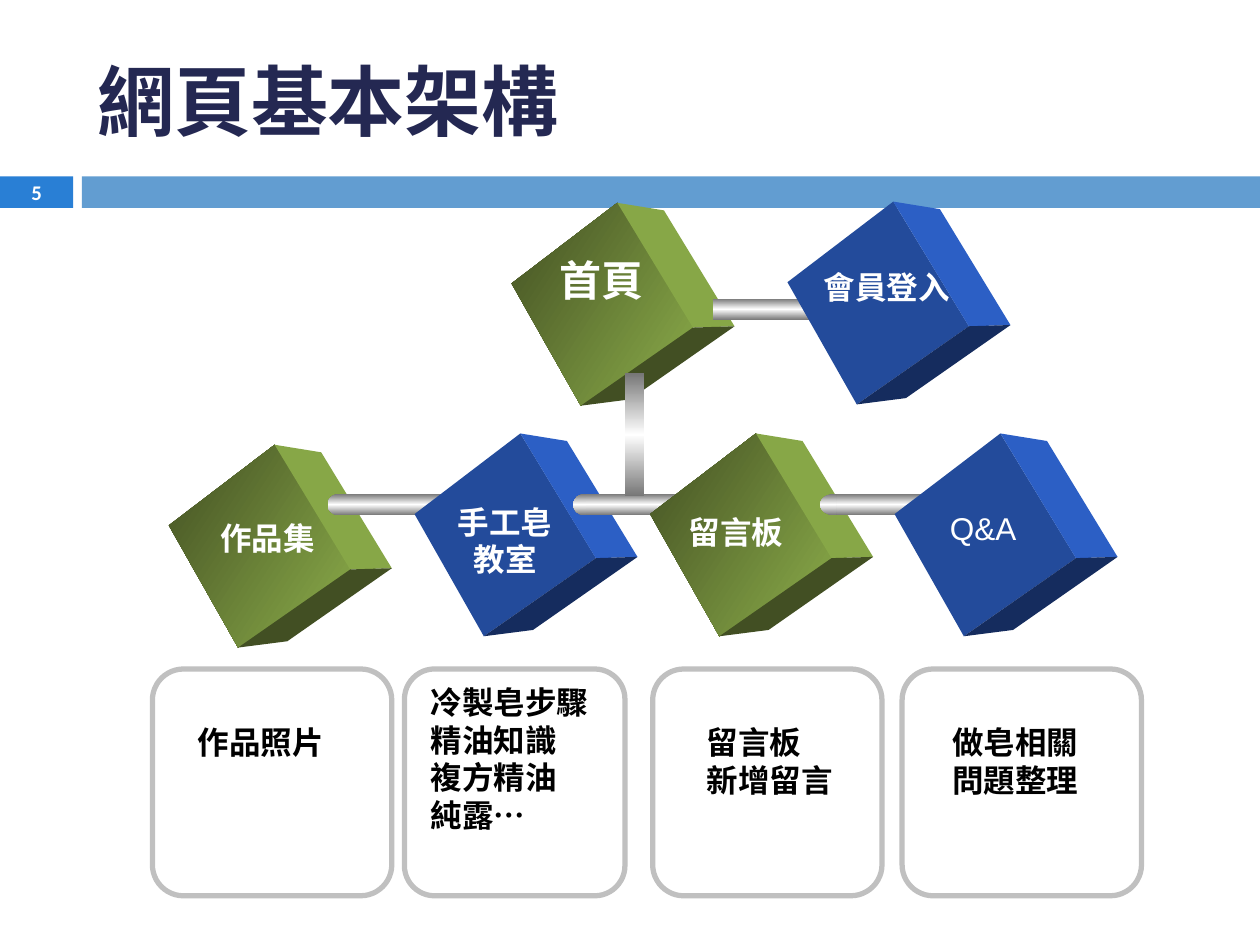
from lxml import etree
from pptx import Presentation
from pptx.dml.color import RGBColor
from pptx.enum.shapes import MSO_SHAPE as Shape
from pptx.enum.text import MSO_ANCHOR as Anchor, PP_ALIGN as Align
from pptx.oxml.ns import qn
from pptx.util import Inches, Pt

BLUE = ("234B9B", "2C5FC5", "152C5E")
GREEN = (("435023", "8CAD4A"), "87A747", "424F23")
STEEL = ("767676", "FFFFFF", "767676")
FRONT = [(-0.84, 0.64), (0, 0), (0.6, 0.99), (-0.29, 1.61)]
SIDE = [(0, 0), (0.37, 0.06), (0.93, 0.98), (0.6, 0.99)]
BASE = [(0.6, 0.99), (0.93, 0.98), (0.1, 1.56), (-0.29, 1.61)]
ROW_TOP, TUBE_TOP, BOX_TOP = 3.44, 3.92, 5.31


def color(value):
    """Turn a hex string into a colour."""
    return RGBColor.from_string(value)


def paint(shape, fill, angle=90):
    """Fill a shape with one colour, or with evenly spaced gradient stops."""
    shape.shadow.inherit = False
    shape.line.fill.background()
    if isinstance(fill, str):
        shape.fill.solid()
        shape.fill.fore_color.rgb = color(fill)
        return
    shape.fill.gradient()
    shape.fill.gradient_angle = 360 - angle
    stops = shape.fill._fill._gradFill.find(qn("a:gsLst"))
    for stop in list(stops):
        stops.remove(stop)
    for index, value in enumerate(fill):
        position = 100000 * index // (len(fill) - 1)
        stop = etree.SubElement(stops, qn("a:gs"), pos=str(position))
        etree.SubElement(stop, qn("a:srgbClr"), val=value)


def add_block(slide, kind, left, top, width, height, fill):
    """Add a filled preset shape without an outline."""
    shape = slide.shapes.add_shape(
        kind, Inches(left), Inches(top), Inches(width), Inches(height))
    paint(shape, fill)
    return shape


def add_cube(slide, left, top, colors):
    """Add a tilted cube whose upper corner is at left, top."""
    for corners, fill in zip((FRONT, SIDE, BASE), colors):
        points = [(Inches(left + x), Inches(top + y)) for x, y in corners]
        builder = slide.shapes.build_freeform(*points[0])
        builder.add_line_segments(points[1:], close=True)
        paint(builder.convert_to_shape(), fill, 33)


def add_tube(slide, left, cap, length):
    """Add a horizontal tube with a rounded left end."""
    add_block(slide, Shape.OVAL, left, TUBE_TOP, cap, 0.17, STEEL)
    add_block(slide, Shape.RECTANGLE, left + 0.56 * cap, TUBE_TOP, length, 0.17, STEEL)


def add_box(slide, left, width):
    """Add a rounded frame for the details of a page."""
    box = add_block(slide, Shape.ROUNDED_RECTANGLE, left, BOX_TOP, width, 1.8, "FFFFFF")
    box.adjustments[0] = 0.137
    box.fill.background()
    box.line.color.rgb = color("C0C0C0")
    box.line.width = Pt(3)


def format_text(frame, lines, size, value, font="Arial", bold=True, align=Align.LEFT):
    """Write lines as paragraphs in one style."""
    for index, line in enumerate(lines):
        paragraph = frame.add_paragraph() if index else frame.paragraphs[0]
        paragraph.text = line
        paragraph.alignment = align
        paragraph.font.size = Pt(size)
        paragraph.font.name = font
        paragraph.font.bold = bold
        paragraph.font.color.rgb = color(value)


def add_label(slide, left, top, width, height, lines, size=18, value="FFFFFF",
              wrap=False, **style):
    """Add a text box and return its frame."""
    frame = slide.shapes.add_textbox(
        Inches(left), Inches(top), Inches(width), Inches(height)).text_frame
    frame.word_wrap = wrap
    format_text(frame, lines, size, value, **style)
    return frame


def add_header(slide):
    """Add the title, the band and the page number."""
    title = slide.shapes.title
    title.left, title.top = Inches(0.67), Inches(0.25)
    title.width, title.height = Inches(8.92), Inches(1.08)
    title.text_frame.vertical_anchor = Anchor.MIDDLE
    format_text(title.text_frame, ["網頁基本架構"], 44, "242852", "Calibri")
    add_block(slide, Shape.RECTANGLE, 0, 1.4, 0.58, 0.25, "297FD5")
    add_block(slide, Shape.RECTANGLE, 0.65, 1.4, 9.35, 0.25, "629DD1")
    number = add_label(slide, 0, 1.39, 0.58, 0.27, ["5"], 11.9, wrap=True,
                       font="Calibri", align=Align.CENTER)
    number.vertical_anchor = Anchor.MIDDLE
    number.margin_top = number.margin_bottom = 0


def add_top_row(slide):
    """Add the home and login cubes with their tube."""
    add_cube(slide, 4.9, 1.61, GREEN)
    add_block(slide, Shape.RECTANGLE, 5.66, 2.37, 0.87, 0.17, STEEL)
    add_cube(slide, 7.09, 1.6, BLUE)
    add_label(slide, 4.34, 1.97, 0.88, 0.6, ["首頁"], 24)
    add_label(slide, 6.44, 2.08, 1.22, 0.48, ["會員登入"], font="Noto Sans CJK SC")


def add_page_row(slide):
    """Add the four page cubes, their tubes and their detail boxes."""
    cubes = [(2.18, ROW_TOP + 0.09, GREEN), (4.13, ROW_TOP, BLUE),
             (6, ROW_TOP, GREEN), (7.94, ROW_TOP, BLUE)]
    tubes = [(2.6, 0.18, 0.87), (4.55, 0.18, 0.87), (6.51, 0.23, 1.14)]
    add_cube(slide, *cubes[0])
    for tube, cube in zip(tubes, cubes[1:]):
        add_tube(slide, *tube)
        add_cube(slide, *cube)
    add_block(slide, Shape.RECTANGLE, 4.96, 2.96, 0.15, 0.98, STEEL)
    add_label(slide, 1.65, 4.07, 0.96, 0.4, ["作品集"])
    add_label(slide, 3.51, 3.94, 1, 0.71, ["手工皂教室"], wrap=True, align=Align.CENTER)
    add_label(slide, 5.37, 4.02, 0.96, 0.4, ["留言板"])
    add_label(slide, 7.44, 3.99, 0.76, 0.47, ["Q&A"], bold=False)
    for left, width in [(1.21, 1.9), (3.21, 1.75), (5.18, 1.82), (7.16, 1.9)]:
        add_box(slide, left, width)
    details = [(1.47, 5.69, 1.21, 0.4, ["作品照片"]),
               (3.32, 5.37, 1.47, 1.62, ["冷製皂步驟", "精油知識", "複方精油", "純露…"]),
               (5.51, 5.69, 1.21, 0.71, ["留言板", "新增留言"]),
               (7.46, 5.69, 1.21, 0.71, ["做皂相關", "問題整理"])]
    for detail in details:
        add_label(slide, *detail, value="000000")


def main():
    """Build the site structure slide."""
    presentation = Presentation()
    presentation.slide_width, presentation.slide_height = Inches(10), Inches(7.5)
    slide = presentation.slides.add_slide(presentation.slide_layouts[5])
    add_header(slide)
    add_top_row(slide)
    add_page_row(slide)
    presentation.save("out.pptx")


if __name__ == "__main__":
    main()
